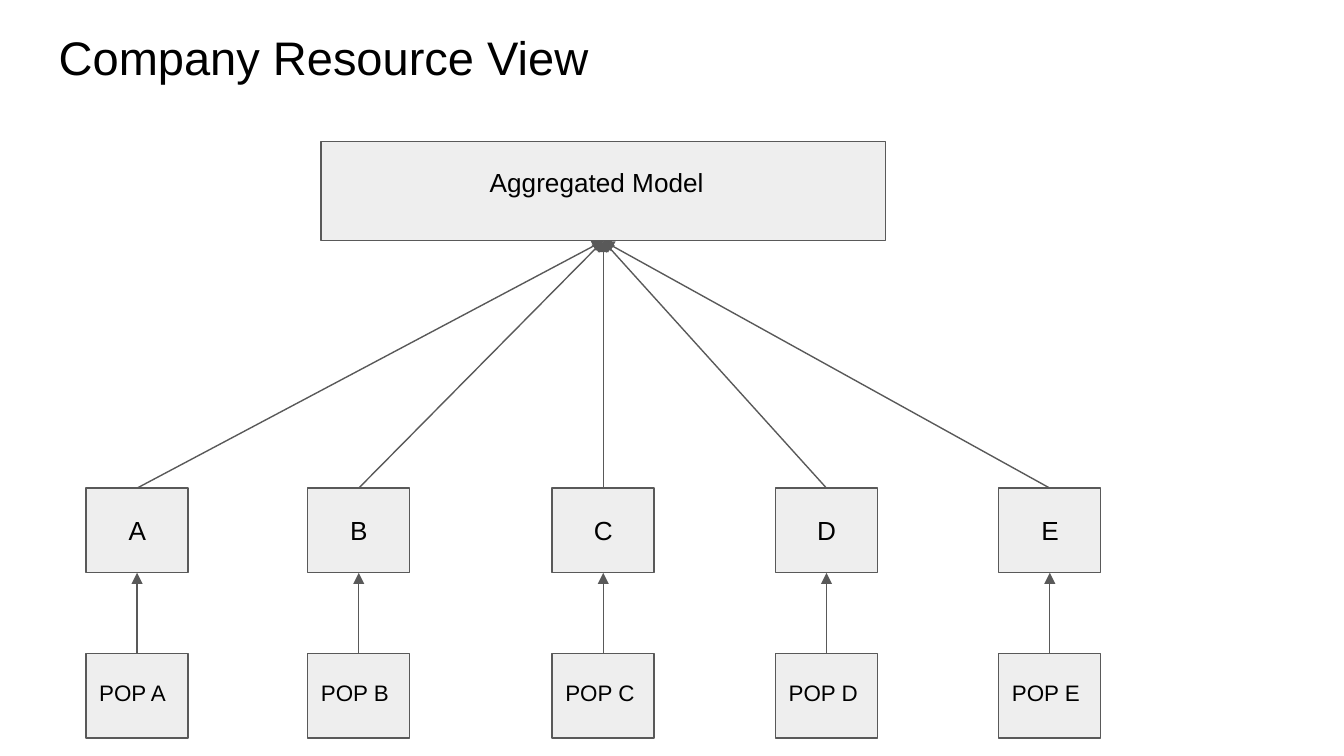
from lxml import etree
from pptx import Presentation
from pptx.dml.color import RGBColor
from pptx.enum.shapes import MSO_CONNECTOR, MSO_SHAPE
from pptx.enum.text import MSO_ANCHOR, PP_ALIGN
from pptx.oxml.ns import qn
from pptx.util import Cm, Pt

RECTANGLE = MSO_SHAPE.RECTANGLE
STRAIGHT = MSO_CONNECTOR.STRAIGHT
TOP, MIDDLE = MSO_ANCHOR.TOP, MSO_ANCHOR.MIDDLE
LEFT, CENTER = PP_ALIGN.LEFT, PP_ALIGN.CENTER


def color(value):
    return RGBColor.from_string(value)


def add_text(words, left, top, width, height, size, align=LEFT, anchor=TOP):
    box = page.shapes.add_textbox(Cm(left), Cm(top), Cm(width), Cm(height))
    frame = box.text_frame
    frame.word_wrap = True
    frame.vertical_anchor = anchor
    frame.margin_left = frame.margin_right = Cm(0.25)
    frame.margin_top = frame.margin_bottom = Cm(0.25)
    frame.text = words
    para = frame.paragraphs[0]
    para.alignment = align
    font = para.runs[0].font
    font.name = "Arial"
    font.size = Pt(size)
    font.color.rgb = color("000000")


deck = Presentation()
deck.slide_width, deck.slide_height = Cm(25.4), Cm(14.28)
page = deck.slides.add_slide(deck.slide_layouts[6])

companies = {"A": 2.59, "B": 6.78, "C": 11.4, "D": 15.62, "E": 19.84}
model_center, model_top, model_width, model_height = 11.4, 2.67, 10.67, 1.88
model_bottom = model_top + model_height
node_width, node_height = 1.93, 1.6
company_top, pop_top = 9.22, 12.34
company_bottom = company_top + node_height

boxes = [(model_center, model_top, model_width, model_height)]
arrows = []
for center in companies.values():
    boxes.append((center, company_top, node_width, node_height))
    boxes.append((center, pop_top, node_width, node_height))
    arrows.append((center, company_top, model_center, model_bottom))
    arrows.append((center, pop_top, center, company_bottom))

for center, top, width, height in boxes:
    box = page.shapes.add_shape(
        RECTANGLE, Cm(center - width / 2), Cm(top), Cm(width), Cm(height))
    box.shadow.inherit = False
    box.fill.solid()
    box.fill.fore_color.rgb = color("EEEEEE")
    box.line.color.rgb = color("595959")
    box.line.width = Pt(0.75)

for start_x, start_y, end_x, end_y in arrows:
    arrow = page.shapes.add_connector(
        STRAIGHT, Cm(start_x), Cm(start_y), Cm(end_x), Cm(end_y))
    arrow.line.color.rgb = color("595959")
    arrow.line.width = Pt(0.75)
    outline = arrow.line._get_or_add_ln()
    etree.SubElement(outline, qn("a:tailEnd"), type="triangle", w="med", len="med")
    etree.SubElement(arrow._element.spPr, qn("a:effectLst"))

add_text("Company Resource View", 0.86, 0.28, 23.67, 1.6, 25.2)
add_text("Aggregated Model", 6.38, 2.9, 9.8, 1.27, 14, CENTER)
for name, center in companies.items():
    add_text(name, center - 0.53, 9.63, 1.07, 0.76, 14, CENTER, MIDDLE)
    add_text(f"POP {name}", center - node_width / 2, 12.57, node_width, 1.12, 12)

deck.save("out.pptx")
